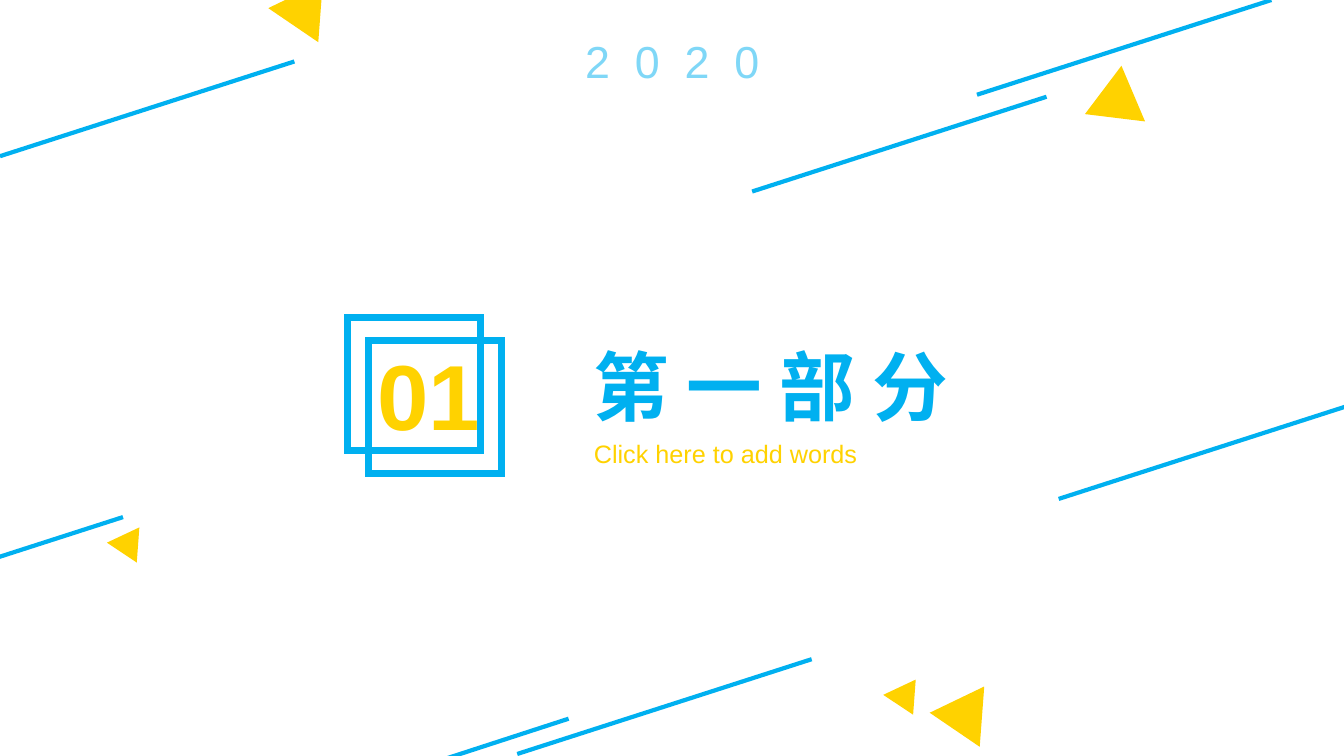
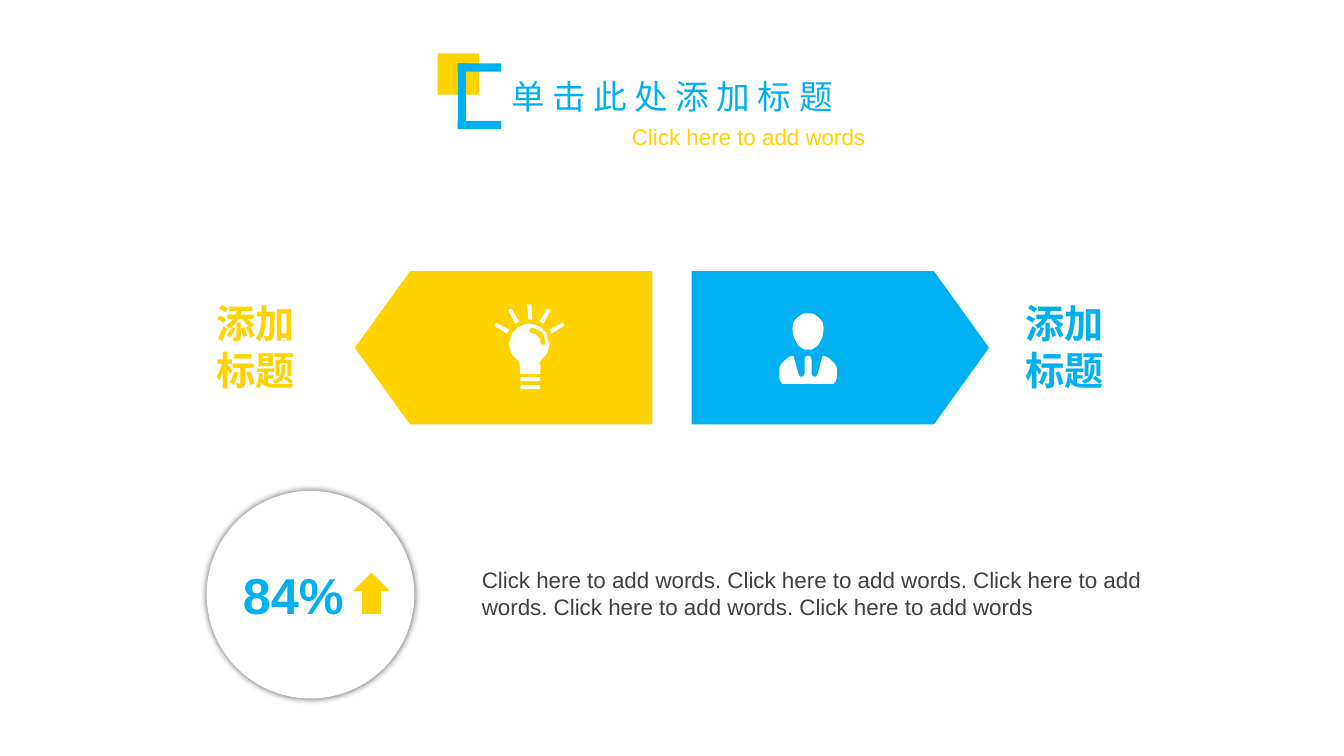
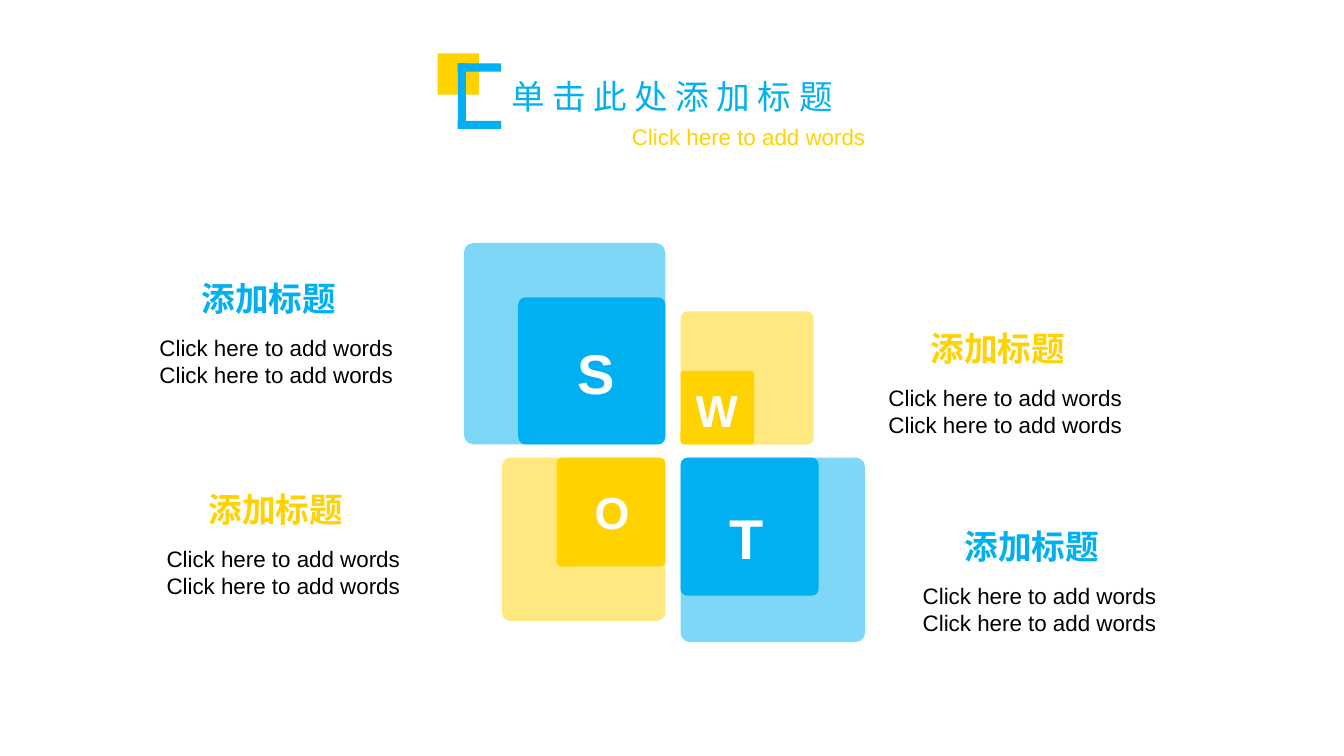
from lxml.etree import SubElement
from pptx import Presentation
from pptx.dml.color import RGBColor
from pptx.enum.lang import MSO_LANGUAGE_ID
from pptx.enum.shapes import MSO_CONNECTOR, MSO_SHAPE
from pptx.enum.text import MSO_ANCHOR, MSO_AUTO_SIZE, PP_ALIGN
from pptx.oxml.ns import qn
from pptx.util import Inches, Pt

BLUE, YELLOW, WHITE, BLACK, GREY = "00B0F0", "FFD200", "FFFFFF", "000000", "404040"
PALE_BLUE = "7FD7F7"
PROMPT = "Click here to add words"
CENTER, JUSTIFY, LEFT = PP_ALIGN.CENTER, PP_ALIGN.JUSTIFY, PP_ALIGN.LEFT


def paint(fill, color, alpha=100, owner=None):
    """Fill with a hex colour; owner is the XML element that takes the transparency."""
    fill.solid()
    fill.fore_color.rgb = RGBColor.from_string(color)
    if alpha < 100:
        for node in owner.iter(qn("a:srgbClr")):
            SubElement(node, qn("a:alpha"), val=str(alpha * 1000))


def write(frame, text, size=16, color=BLACK, bold=False, align=CENTER, spacing=0):
    """Fill a text frame, one paragraph per line of text."""
    frame.word_wrap = True
    frame.auto_size = MSO_AUTO_SIZE.SHAPE_TO_FIT_TEXT
    frame.vertical_anchor = MSO_ANCHOR.TOP
    for number, line in enumerate(text.split("\n")):
        paragraph = frame.add_paragraph() if number else frame.paragraphs[0]
        paragraph.alignment = align
        paragraph.space_before = Pt(0)
        run = paragraph.add_run()
        run.text = line
        font = run.font
        font.name, font.size, font.bold = "Arial", Pt(size), bold
        if not line.isascii():
            font.language_id = MSO_LANGUAGE_ID.SIMPLIFIED_CHINESE
        paint(font.fill, color)
        if spacing:
            run._r.get_or_add_rPr().set("spc", str(spacing))


def mirrored(half, left, right):
    """Close a left half outline with its reflection between two edges."""
    return half + [(left + right - x, y) for x, y in reversed(half)]


class Deck:
    def __init__(self):
        self.presentation = Presentation()
        self.presentation.slide_width = Inches(13.33)
        self.presentation.slide_height = Inches(7.5)
        self.slide = None

    def new_slide(self, layout):
        self.slide = self.presentation.slides.add_slide(self.presentation.slide_layouts[layout])

    def placeholder(self, index, text, box, **style):
        holder = self.slide.placeholders[index]
        holder.left, holder.top, holder.width, holder.height = map(Inches, box)
        write(holder.text_frame, text, **style)

    def text(self, text, box, **style):
        write(self.slide.shapes.add_textbox(*map(Inches, box)).text_frame, text, **style)

    def shape(self, kind, box, color=None, alpha=100, outline=None, adjust=None, rotation=0):
        shape = self.slide.shapes.add_shape(kind, *map(Inches, box))
        shape.rotation = rotation
        if adjust is not None:
            shape.adjustments[0] = adjust
        return self.finish(shape, color, alpha, outline)

    def outline(self, contours, color):
        """Draw closed contours, given in inches, as one freeform."""
        builder = None
        for contour in contours:
            start, *rest = [(Inches(x), Inches(y)) for x, y in contour]
            if builder is None:
                builder = self.slide.shapes.build_freeform(*start)
            else:
                builder.move_to(*start)
            builder.add_line_segments(rest, close=True)
        return self.finish(builder.convert_to_shape(), color)

    def finish(self, shape, color, alpha=100, outline=None):
        shape.shadow.inherit = False
        if color:
            paint(shape.fill, color, alpha, shape._element.spPr)
        else:
            shape.fill.background()
        if outline:
            paint(shape.line.fill, outline)
            shape.line.width = Pt(5)
            SubElement(shape._element.spPr.find(qn("a:ln")), qn("a:miter"), lim="800000")
        else:
            shape.line.fill.background()
        return shape

    def stroke(self, x, y, dx=-2.92, dy=0.94):
        line = self.slide.shapes.add_connector(
            MSO_CONNECTOR.STRAIGHT, *map(Inches, (x, y, x + dx, y + dy)))
        paint(line.line.fill, BLUE)
        line.line.width = Pt(3)
        SubElement(line._element.spPr, qn("a:effectLst"))

    def header(self):
        self.new_slide(5)
        self.placeholder(0, "单 击 此 处 添 加 标 题", (4.68, 0.7, 3.97, 0.5), size=24, color=BLUE)
        self.text(PROMPT, (5.44, 1.17, 3.97, 0.37), color=YELLOW)
        self.shape(MSO_SHAPE.RECTANGLE, (4.34, 0.53, 0.41, 0.41), YELLOW)
        for bar in ((4.54, 0.63, 0.08, 0.65), (4.54, 0.63, 0.43, 0.08), (4.54, 1.2, 0.43, 0.08)):
            self.shape(MSO_SHAPE.RECTANGLE, bar, BLUE)

    def glow(self, shape):
        """Give a shape a soft shadow on all sides."""
        effects = shape._element.spPr.find(qn("a:effectLst"))
        shadow = SubElement(effects, qn("a:outerShdw"), blurRad=str(Pt(5)), dist="0",
                            dir="0", algn="ctr", rotWithShape="0")
        tint = SubElement(shadow, qn("a:srgbClr"), val=BLACK)
        SubElement(tint, qn("a:alpha"), val="60000")


def section_slide(deck):
    deck.new_slide(0)
    for start in ((12.61, 0), (10.38, 0.96), (13.42, 4.01), (8.05, 6.54), (1.22, 5.13), (2.92, 0.61)):
        deck.stroke(*start)
    deck.stroke(5.64, 7.13, -1.66, 0.54)
    large, small = (0.6, 0.52), (0.35, 0.31)
    for corner, size, rotation in (
            ((10.7, 0.77), large, 247), ((9.18, 6.83), large, 274.3), ((2.62, -0.16), large, 274.3),
            ((8.74, 6.75), small, 274.3), ((1.04, 5.24), small, 274.3)):
        deck.shape(MSO_SHAPE.ISOSCELES_TRIANGLE, corner + size, YELLOW, rotation=rotation)
    deck.text("2 0 2 0", (5.43, 0.29, 2.48, 0.64), size=32, color=PALE_BLUE, spacing=445)
    deck.placeholder(0, "第 一 部 分", (5.55, 3.32, 4.19, 1.01), size=54, color=BLUE, bold=True)
    deck.placeholder(1, PROMPT, (5.79, 4.3, 3.24, 0.4), size=18, color=YELLOW, align=JUSTIFY)
    for corner in ((3.45, 3.15), (3.65, 3.38)):
        deck.shape(MSO_SHAPE.RECTANGLE, corner + (1.32, 1.32), outline=BLUE)
    deck.text("01", (2.92, 3.31, 2.66, 1.21), size=66, color=YELLOW, bold=True)


def draw_bulb(deck):
    left, right = 5.05, 5.45
    glass = [(5.25, 3.21), (5.2, 3.22), (5.17, 3.23), (5.13, 3.25), (5.11, 3.28), (5.08, 3.3),
             (5.07, 3.34), (5.06, 3.38), (5.05, 3.41), (5.06, 3.46), (5.07, 3.5), (5.1, 3.54),
             (5.13, 3.57), (5.15, 3.6), (5.16, 3.64), (5.16, 3.67), (5.18, 3.7), (5.2, 3.7)]
    glint = [(5.39, 3.42), (5.37, 3.42), (5.36, 3.4), (5.36, 3.36), (5.34, 3.34), (5.31, 3.31),
             (5.28, 3.31), (5.26, 3.3), (5.25, 3.28), (5.26, 3.26), (5.28, 3.25), (5.33, 3.27),
             (5.38, 3.3), (5.4, 3.34), (5.41, 3.4), (5.41, 3.42)]
    deck.outline([mirrored(glass, left, right), glint], WHITE)
    deck.shape(MSO_SHAPE.RECTANGLE, (5.16, 3.61, 0.2, 0.1), WHITE)
    for top in (3.74, 3.82):
        deck.shape(MSO_SHAPE.ROUNDED_RECTANGLE, (5.16, top, 0.2, 0.04), WHITE, adjust=0.5)
    deck.outline([[(5.28, 3.17), (5.24, 3.17), (5.23, 3.02), (5.27, 3.02)]], WHITE)
    for ray in ([(5.11, 3.21), (5.04, 3.08), (5.07, 3.06), (5.15, 3.19)],
                [(4.92, 3.2), (5.05, 3.27), (5.03, 3.31), (4.9, 3.23)]):
        deck.outline([ray], WHITE)
        deck.outline([[(left + right - x, y) for x, y in ray]], WHITE)


def draw_person(deck):
    left, right = 7.73, 8.3
    suit = [(8.01, 3.53), (7.99, 3.54), (7.98, 3.57), (7.98, 3.71), (7.97, 3.73), (7.95, 3.74),
            (7.93, 3.73), (7.92, 3.71), (7.87, 3.53), (7.83, 3.54), (7.8, 3.56), (7.77, 3.59),
            (7.75, 3.61), (7.73, 3.65), (7.73, 3.75), (7.74, 3.78), (7.76, 3.81), (7.79, 3.81)]
    head = [(8.01, 3.11), (7.98, 3.11), (7.95, 3.12), (7.91, 3.15), (7.89, 3.17), (7.87, 3.2),
            (7.86, 3.26), (7.87, 3.33), (7.88, 3.36), (7.9, 3.4), (7.92, 3.43), (7.95, 3.45),
            (7.98, 3.47), (8.01, 3.47)]
    deck.outline([mirrored(suit, left, right), mirrored(head, left, right)], WHITE)


def comparison_slide(deck):
    deck.header()
    for arrow_left, label_left, color in ((6.86, 10.07, BLUE), (3.52, 2.05, YELLOW)):
        arrow = deck.shape(MSO_SHAPE.PENTAGON, (arrow_left, 2.69, 2.95, 1.52), color, adjust=0.36)
        if label_left < arrow_left:
            arrow._element.spPr.find(qn("a:xfrm")).set("flipH", "1")
        deck.text("添加标题", (label_left, 2.92, 1.22, 1.04), size=28, color=color, bold=True, align=LEFT)
    draw_bulb(deck)
    draw_person(deck)
    deck.glow(deck.shape(MSO_SHAPE.OVAL, (2.05, 4.87, 2.06, 2.06), WHITE))
    deck.text("84%", (2.31, 5.55, 1.63, 0.71), size=36, color=BLUE, bold=True, align=LEFT)
    deck.shape(MSO_SHAPE.UP_ARROW, (3.5, 5.68, 0.37, 0.41), YELLOW)
    deck.text(". ".join([PROMPT] * 5), (4.68, 5.57, 7.39, 0.64), color=GREY, align=LEFT)


def swot_slide(deck):
    deck.header()
    west, east, north, south = 6.6, 6.75, 4.41, 4.54
    quadrants = (
        ("S", BLUE, west, north, (2, 1.46), 40, (5.44, 3.31), (1.19, 2.71)),
        ("W", YELLOW, east, north, (1.32, 0.73), 32, (6.64, 3.75), (8.42, 3.2)),
        ("O", YELLOW, west, south, (1.62, 1.08), 32, (5.6, 4.76), (1.26, 4.8)),
        ("T", BLUE, east, south, (1.83, 1.37), 40, (6.93, 4.95), (8.76, 5.17)))
    for letter, color, x, y, sides, size, letter_at, (left, top) in quadrants:
        for side, alpha in zip(sides, (50, 100)):
            corner = (x - side if x == west else x, y - side if y == north else y)
            deck.shape(MSO_SHAPE.ROUNDED_RECTANGLE, corner + (side, side), color, alpha, adjust=0.05)
        deck.text(letter, letter_at + (0.94, 0.77 if size == 40 else 0.64), size=size, color=WHITE, bold=True)
        deck.text("添加标题", (left, top, 2.95, 0.5), size=24, color=color, bold=True)
        deck.text(f"{PROMPT}\n{PROMPT}", (left + 0.02, top + 0.56, 3.06, 0.64))


def main():
    deck = Deck()
    section_slide(deck)
    comparison_slide(deck)
    swot_slide(deck)
    deck.presentation.save("out.pptx")


if __name__ == "__main__":
    main()
